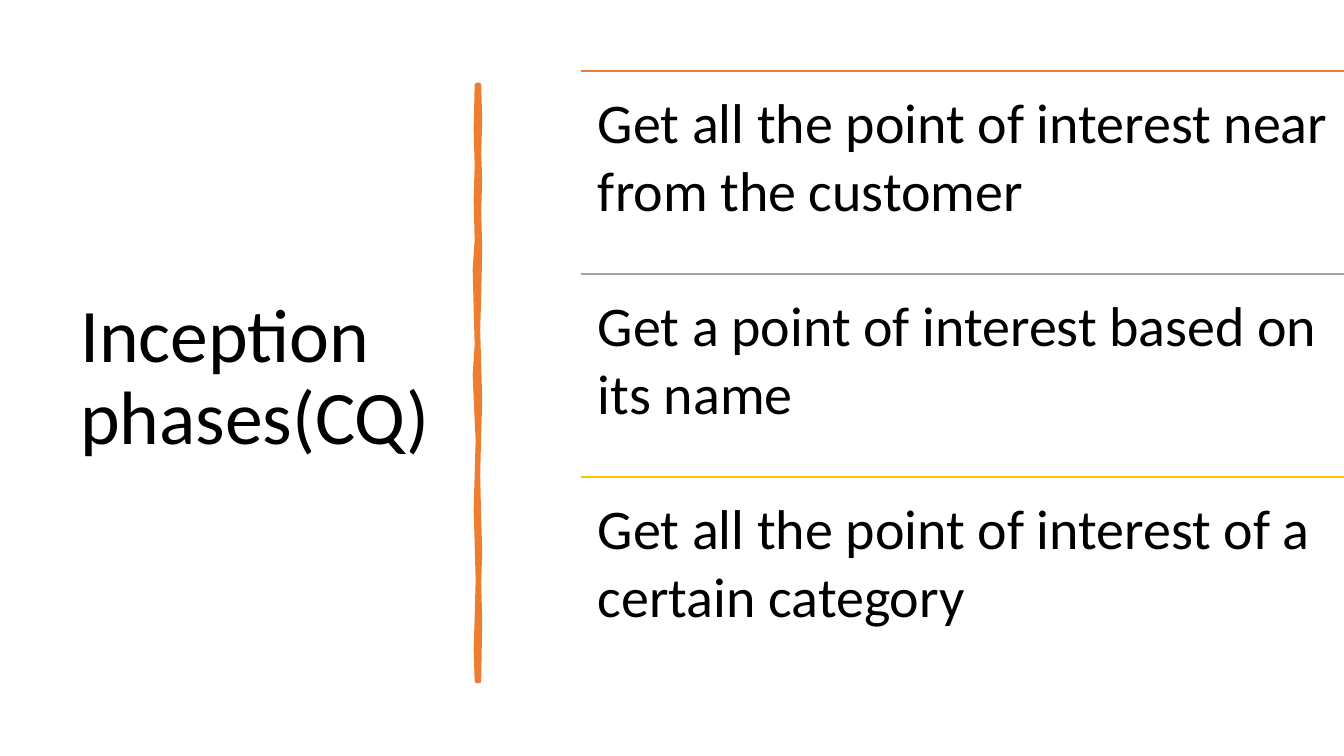
from pptx import Presentation, util as u
from pptx.dml.color import RGBColor
from pptx.enum import shapes, text
from pptx.oxml.ns import qn
from lxml import etree

TITLE = "Inception phases(CQ)"
QUESTIONS = [
    ("Get all the point of interest near from the customer", "ED7D31"),
    ("Get a point of interest based on its name", "A5A5A5"),
    ("Get all the point of interest of a certain category", "FFC000"),
]
FONT, BLACK, ORANGE = "Calibri", "000000", "ED7D31"
RIGHT_EDGE = [(479, 85), (480, 120), (479, 153), (480, 180), (479, 210), (480, 250),
              (479, 296), (478, 330), (479, 365), (480, 400), (479, 433), (478, 475),
              (479, 520), (480, 550), (479, 583), (480, 620), (479, 681)]
LEFT_EDGE = [(477, 681), (476, 650), (477, 618), (478, 580), (477, 543), (476, 510),
             (477, 475), (478, 440), (477, 420), (475, 375), (477, 345), (475, 270),
             (477, 240), (476, 200), (477, 165), (476, 130), (477, 85)]
ROW_LEFT, ROW_TOP, ROW_WIDTH, ROW_HEIGHT = 581, 71, 763, 203
PX = 914400 / 100.8


def px(length):
    return u.Emu(round(length * PX))


def color(value):
    return RGBColor.from_string(value)


def write(text_frame, words, size):
    text_frame.text = words
    text_frame.word_wrap = True
    font = text_frame.paragraphs[0].runs[0].font
    font.name, font.size = FONT, u.Pt(size)
    font.color.rgb = color(BLACK)


def add_title(slide):
    title = slide.shapes.title
    title.left, title.top, title.width, title.height = map(px, (70, 71, 377, 616))
    write(title.text_frame, TITLE, 54)
    title.text_frame.vertical_anchor = text.MSO_ANCHOR.MIDDLE
    paragraph = title.text_frame.paragraphs[0]
    paragraph.alignment = text.PP_ALIGN.LEFT
    paragraph.line_spacing = 0.9


def add_brush_stroke(slide):
    builder = slide.shapes.build_freeform(*RIGHT_EDGE[0], scale=PX)
    builder.add_line_segments(RIGHT_EDGE[1:] + LEFT_EDGE, close=True)
    stroke = builder.convert_to_shape()
    stroke.shadow.inherit = False
    stroke.fill.solid()
    stroke.fill.fore_color.rgb = color(ORANGE)
    stroke.line.color.rgb = color(ORANGE)
    stroke.line.width = u.Pt(3.25)
    outline = stroke.line._get_or_add_ln()
    etree.SubElement(outline, qn("a:round"))


def add_question(slide, index, words, line_color):
    top = ROW_TOP + index * ROW_HEIGHT
    rule = slide.shapes.add_connector(
        shapes.MSO_CONNECTOR.STRAIGHT,
        px(ROW_LEFT), px(top), px(ROW_LEFT + ROW_WIDTH), px(top))
    rule.line.color.rgb = color(line_color)
    rule.line.width = u.Pt(1)
    etree.SubElement(rule._element.spPr, qn("a:effectLst"))
    box = slide.shapes.add_textbox(px(ROW_LEFT), px(top), px(ROW_WIDTH), px(ROW_HEIGHT))
    frame = box.text_frame
    frame.margin_left = frame.margin_top = frame.margin_bottom = px(17)
    frame.margin_right = px(12)
    write(frame, words, 40)


def main():
    presentation = Presentation()
    presentation.slide_width, presentation.slide_height = px(1344), px(756)
    slide = presentation.slides.add_slide(presentation.slide_layouts[5])
    add_title(slide)
    add_brush_stroke(slide)
    for index, (words, line_color) in enumerate(QUESTIONS):
        add_question(slide, index, words, line_color)
    presentation.save("out.pptx")


if __name__ == "__main__":
    main()
